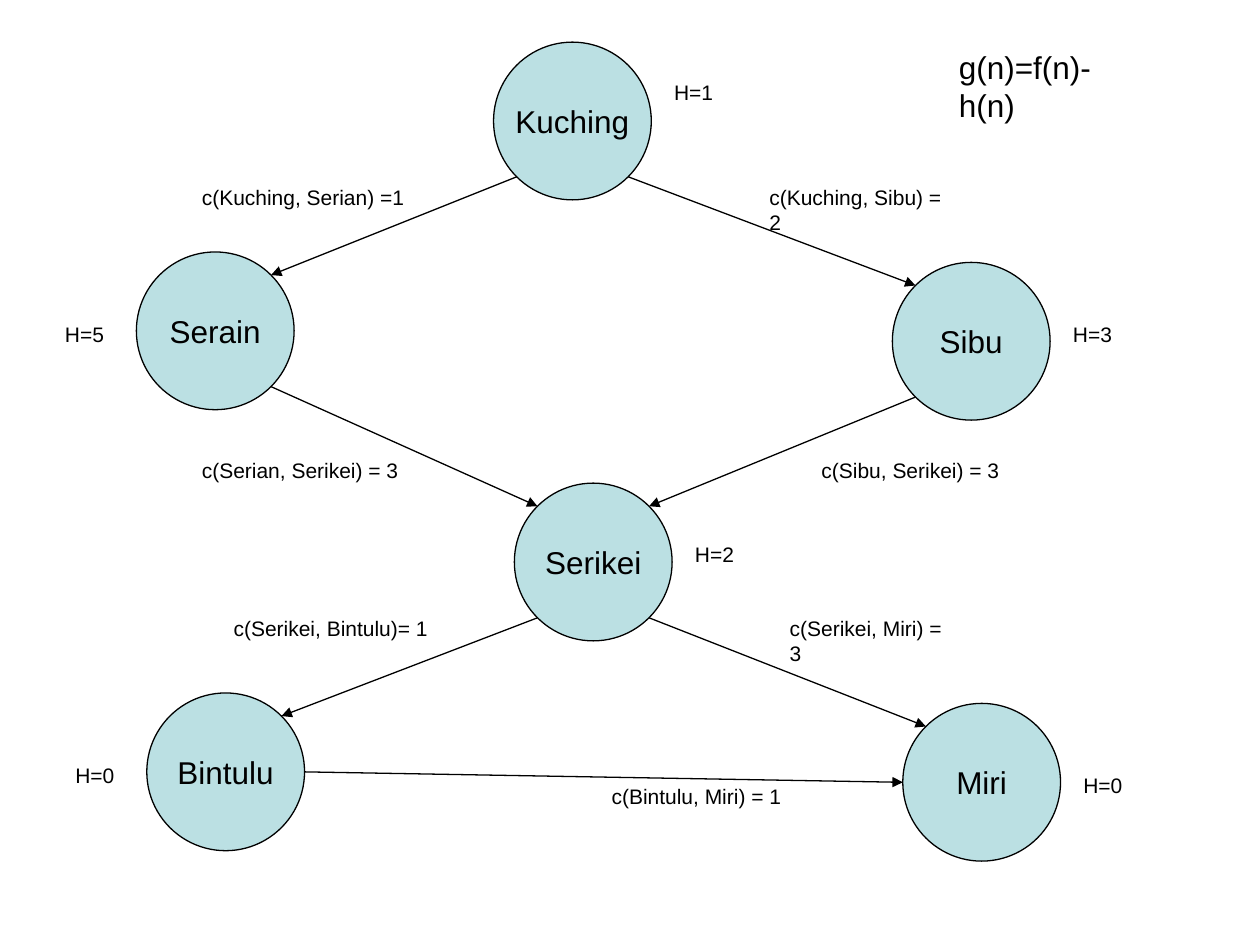
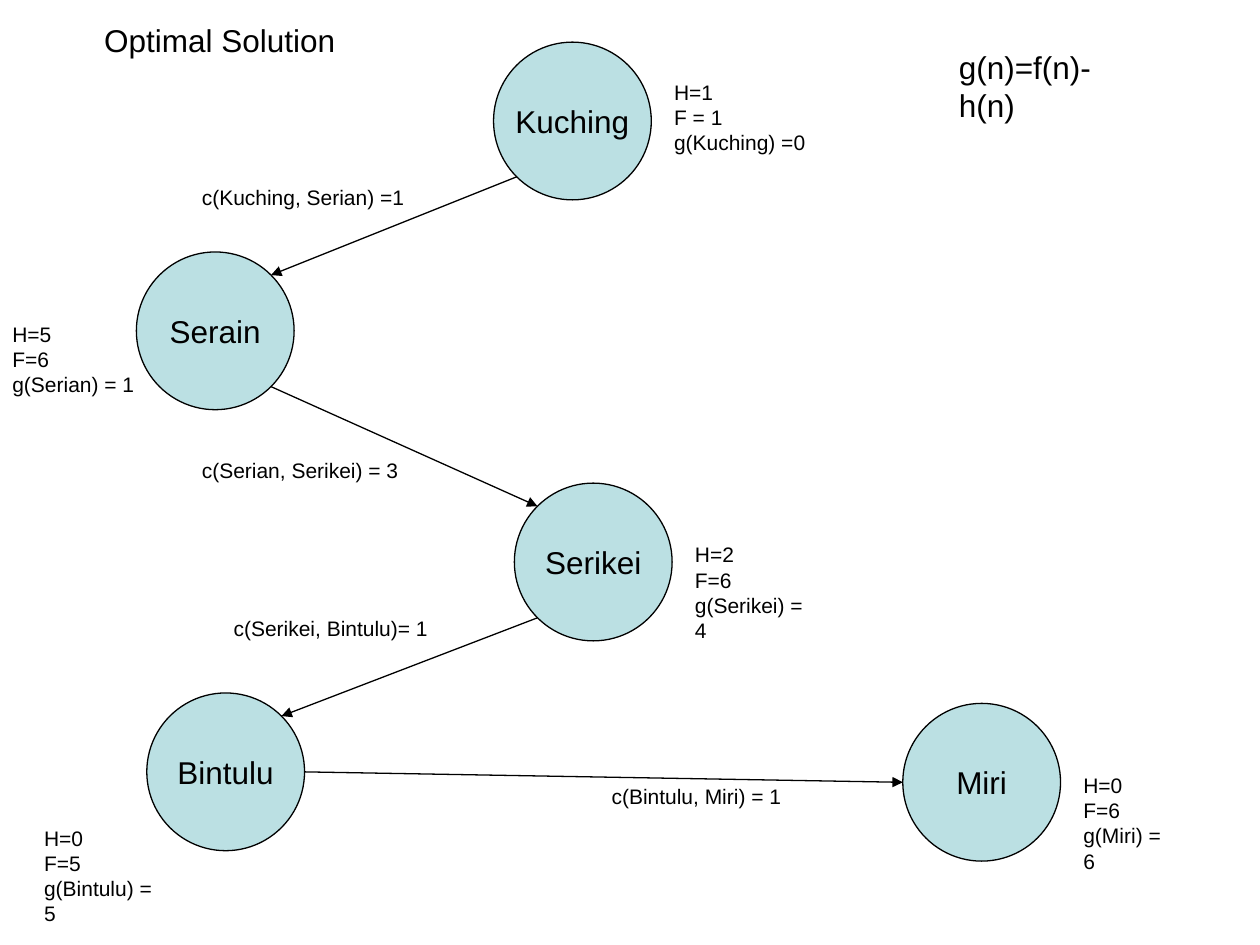
from math import sqrt
from lxml.etree import SubElement
from pptx import Presentation
from pptx.dml.color import RGBColor
from pptx.enum.shapes import MSO_CONNECTOR, MSO_SHAPE
from pptx.enum.text import MSO_ANCHOR, MSO_AUTO_SIZE, PP_ALIGN
from pptx.oxml.ns import qn
from pptx.util import Cm, Pt

COLORS = {"ink": "000000", "node": "BBE0E3"}
FONT = "Arial"
SMALL, LARGE = 12, 18
SIZE = 3.18
HEIGHTS = {SMALL: 0.76, LARGE: 1.02}

# Town: left, top of its circle (cm)
TOWNS = {
    "Kuching": (9.95, 0.85),
    "Serain": (2.75, 5.08),
    "Sibu": (17.99, 5.29),
    "Serikei": (10.37, 9.74),
    "Bintulu": (2.96, 13.97),
    "Miri": (18.2, 14.18),
}

# (start, end): cost label, left, top, width
ROADS = {
    ("Kuching", "Serain"): ("c(Kuching, Serian) =1", 3.82, 3.6, 4.6),
    ("Kuching", "Sibu"): ("c(Kuching, Sibu) = 2", 15.26, 3.6, 4.32),
    ("Serain", "Serikei"): ("c(Serian, Serikei) = 3", 3.82, 9.1, 4.47),
    ("Sibu", "Serikei"): ("c(Sibu, Serikei) = 3", 16.31, 9.1, 4.09),
    ("Serikei", "Bintulu"): ("c(Serikei, Bintulu)= 1", 4.46, 12.28, 4.42),
    ("Serikei", "Miri"): ("c(Serikei, Miri) = 3", 15.67, 12.28, 3.91),
    ("Bintulu", "Miri"): ("c(Bintulu, Miri) = 1", 12.08, 15.67, 3.94),
}

FORMULA = ("g(n)=f(n)-h(n)", 19.08, 0.85, 4.29)

# Each note: text, left, top, width and, for several lines, height
SLIDES = [
    {
        "towns": list(TOWNS),
        "roads": list(ROADS),
        "notes": [
            ("H=1", 13.34, 1.48, 1.3),
            ("H=5", 1.06, 6.35, 1.3),
            ("H=3", 21.38, 6.35, 1.3),
            ("H=2", 13.76, 10.8, 1.3),
            ("H=0", 1.27, 15.24, 1.3),
            ("H=0", 21.59, 15.45, 1.3),
        ],
        "heads": [FORMULA],
    },
    {
        "towns": ["Kuching", "Serain", "Serikei", "Bintulu", "Miri"],
        "roads": [("Kuching", "Serain"), ("Serain", "Serikei"),
                  ("Serikei", "Bintulu"), ("Bintulu", "Miri")],
        "notes": [
            ("H=1\nF = 1\ng(Kuching) =0", 13.34, 1.48, 3.15, 1.78),
            ("H=5\nF=6\ng(Serian) = 1", 0, 6.35, 2.97, 2.29),
            ("H=2\nF=6\ng(Serikei) = 4", 13.76, 10.8, 3.02, 1.78),
            ("H=0\nF=5\ng(Bintulu) = 5", 0.64, 16.51, 3.02, 2.29),
            ("H=0\nF=6\ng(Miri) = 6", 21.59, 15.45, 2.41, 2.29),
        ],
        "heads": [FORMULA, ("Optimal Solution", 1.85, 0.3, 5.16)],
    },
]


def color(name):
    return RGBColor.from_string(COLORS[name])


def write(shape, text, size, align):
    frame = shape.text_frame
    frame.word_wrap = False
    frame.text = text
    for para in frame.paragraphs:
        para.alignment = align
        para.font.name = FONT
        para.font.size = Pt(size)
        para.font.color.rgb = color("ink")
    return frame


def add_town(slide, name):
    left, top = TOWNS[name]
    disc = slide.shapes.add_shape(
        MSO_SHAPE.OVAL, Cm(left), Cm(top), Cm(SIZE), Cm(SIZE))
    disc.shadow.inherit = False
    disc.fill.solid()
    disc.fill.fore_color.rgb = color("node")
    disc.line.color.rgb = color("ink")
    disc.line.width = Pt(0.75)
    frame = write(disc, name, LARGE, PP_ALIGN.CENTER)
    frame.vertical_anchor = MSO_ANCHOR.MIDDLE


def ends(start, end):
    """Leave each circle at its side within a row, else on its diagonal."""
    (x1, y1), (x2, y2) = TOWNS[start], TOWNS[end]
    half = SIZE / 2
    level = abs(y2 - y1) < SIZE
    dx = half if level else half * sqrt(0.5)
    dy = 0 if level else dx
    if x2 < x1:
        dx = -dx
    return (x1 + half + dx, y1 + half + dy, x2 + half - dx, y2 + half - dy)


def add_road(slide, road):
    arrow = slide.shapes.add_connector(
        MSO_CONNECTOR.STRAIGHT, *map(Cm, ends(*road)))
    arrow.line.color.rgb = color("ink")
    arrow.line.width = Pt(0.75)
    SubElement(arrow.line._get_or_add_ln(), qn("a:tailEnd"), type="triangle")
    SubElement(arrow._element.spPr, qn("a:effectLst"))


def add_label(slide, size, text, left, top, width, height=None):
    box = slide.shapes.add_textbox(
        Cm(left), Cm(top), Cm(width), Cm(height or HEIGHTS[size]))
    frame = write(box, text, size, PP_ALIGN.LEFT)
    frame.auto_size = MSO_AUTO_SIZE.SHAPE_TO_FIT_TEXT


def main():
    deck = Presentation()
    deck.slide_width, deck.slide_height = Cm(25.4), Cm(19.05)
    for plan in SLIDES:
        slide = deck.slides.add_slide(deck.slide_layouts[6])
        for name in plan["towns"]:
            add_town(slide, name)
        for road in plan["roads"]:
            add_road(slide, road)
        for note in plan["notes"]:
            add_label(slide, SMALL, *note)
        for road in plan["roads"]:
            add_label(slide, SMALL, *ROADS[road])
        for head in plan["heads"]:
            add_label(slide, LARGE, *head)
    deck.save("out.pptx")


if __name__ == "__main__":
    main()
